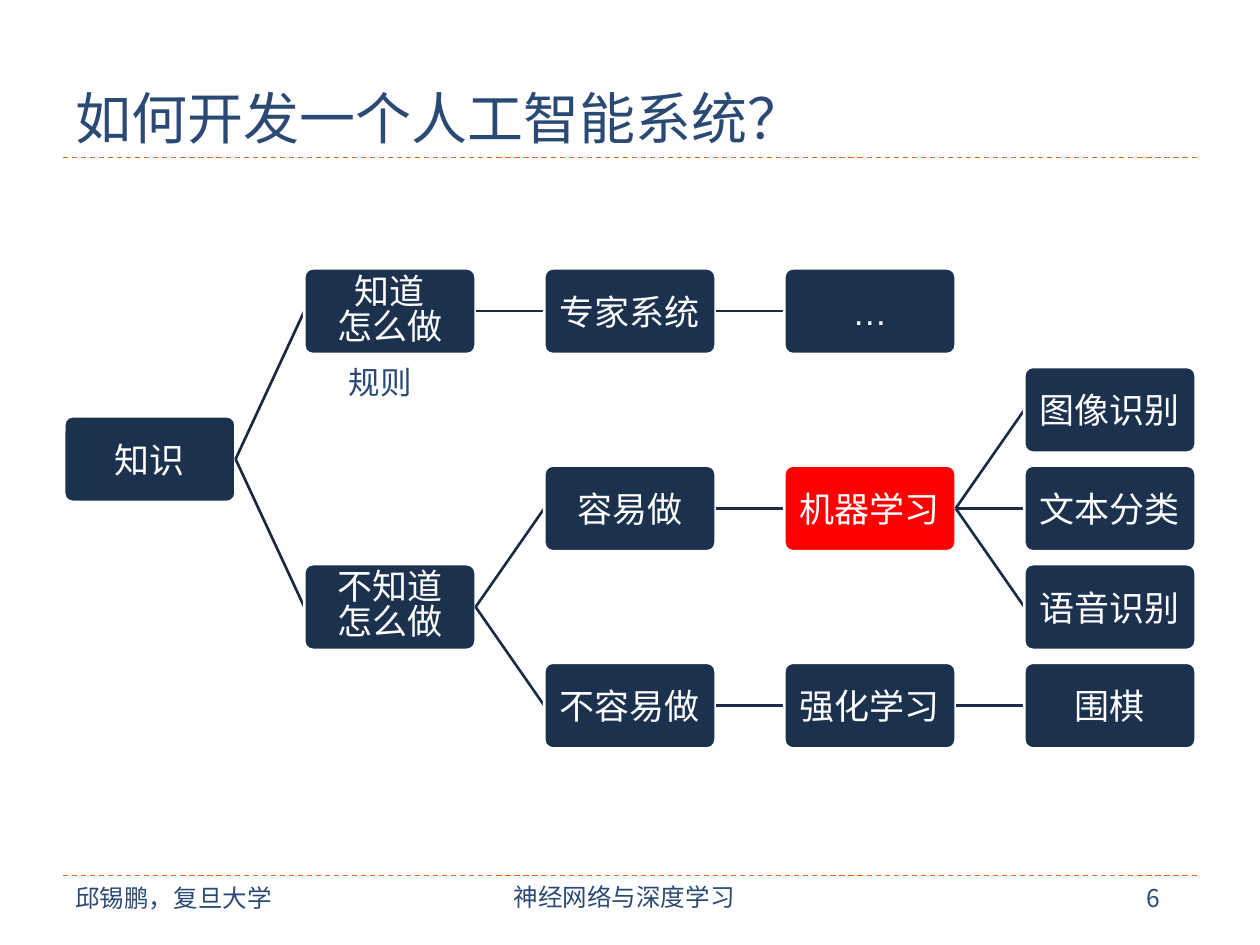
from lxml.etree import SubElement
from pptx import Presentation
from pptx.dml.color import RGBColor as Rgb
from pptx.enum.dml import MSO_LINE as Dash
from pptx.enum.shapes import MSO_CONNECTOR as Link, MSO_SHAPE as Shape
from pptx.enum.text import MSO_ANCHOR as Anchor, MSO_AUTO_SIZE as Fit, PP_ALIGN as Align
from pptx.oxml.ns import qn
from pptx.util import Inches, Pt

NOTO = "Noto Sans CJK SC"
BLUE, NAVY, WHITE, RED = "2A4A75", "1C314E", "FFFFFF", "FF0000"
LEFT, TOP, WIDE, HIGH = 0.51, 2.13, 1.36, 0.68
COL, ROW = (8.13 - LEFT) / 4, (5.26 - TOP) / 4

TREE = ("知识", 1.5, [
    ("知道\n怎么做", 0, [("专家系统", 0, [("…", 0, [])])]),
    ("不知道\n怎么做", 3, [
        ("容易做", 2, [("机器学习", 2, [
            ("图像识别", 1, []), ("文本分类", 2, []), ("语音识别", 3, [])])]),
        ("不容易做", 4, [("强化学习", 4, [("围棋", 4, [])])]),
    ]),
])


def color(code):
    return Rgb.from_string(code)


def write(frame, text, size, tint, font, align=Align.LEFT):
    frame.text = text
    for par in frame.paragraphs:
        par.alignment = align
        for run in par.runs:
            run.font.size = Pt(size)
            run.font.name = font
            run.font.color.rgb = color(tint)
            SubElement(run.font._element, qn("a:ea"), typeface=NOTO)


def add_line(slide, tint, width, ends=(0, 0, 0, 0)):
    line = slide.shapes.add_connector(Link.STRAIGHT, *map(Inches, ends))
    line.line.color.rgb = color(tint)
    line.line.width = Pt(width)
    SubElement(line._element.spPr, qn("a:effectLst"))
    return line


def add_rule(slide, y):
    add_line(slide, "EB641B", 0.75, (0.5, y, 9.5, y)).line.dash_style = Dash.DASH


def add_label(slide, place, text, size, font=NOTO, align=Align.LEFT, wrap=False):
    frame = slide.shapes.add_textbox(*map(Inches, place)).text_frame
    frame.word_wrap = wrap
    write(frame, text, size, BLUE, font, align)
    return frame


def add_title(slide, text):
    title = slide.shapes.title
    title.left, title.top, title.width, title.height = map(Inches, (0.5, 0.17, 9, 1.08))
    frame = title.text_frame
    frame.vertical_anchor = Anchor.BOTTOM
    frame.auto_size = Fit.NONE
    write(frame, text, 32, BLUE, NOTO)


def add_box(slide, text, col, row):
    place = LEFT + col * COL, TOP + row * ROW, WIDE, HIGH
    box = slide.shapes.add_shape(Shape.ROUNDED_RECTANGLE, *map(Inches, place))
    box.adjustments[0] = 0.1
    box.shadow.inherit = False
    box.fill.solid()
    box.fill.fore_color.rgb = color(RED if text == "机器学习" else NAVY)
    box.line.color.rgb = color(WHITE)
    box.line.width = Pt(1.5)
    frame = box.text_frame
    frame.margin_left = frame.margin_right = Inches(0.03)
    frame.margin_top = frame.margin_bottom = Inches(0.03)
    frame.vertical_anchor = Anchor.MIDDLE
    write(frame, text, 20, WHITE, "Arial", Align.CENTER)
    if len(frame.paragraphs) > 1:
        for par in frame.paragraphs:
            par.line_spacing = 0.83
    return box


def add_tree(slide, node, col=0):
    text, row, kids = node
    box = add_box(slide, text, col, row)
    for kid in kids:
        line = add_line(slide, "192C47" if col else "16273E", 1.5)
        line.begin_connect(box, 3)
        line.end_connect(add_tree(slide, kid, col + 1), 1)
    return box


def main():
    deck = Presentation()
    deck.slide_width, deck.slide_height = Inches(10), Inches(7.5)
    slide = deck.slides.add_slide(deck.slide_layouts[5])
    for y in (1.25, 6.95):
        add_rule(slide, y)
    foot = add_label(slide, (3.33, 6.96, 3.25, 0.4), "神经网络与深度学习", 14,
                     "Cambria", Align.CENTER, True)
    foot.margin_top = foot.margin_bottom = Inches(0.04)
    add_label(slide, (0.5, 6.96, 1.77, 0.34), "邱锡鹏，复旦大学", 14)
    add_label(slide, (9, 6.96, 0.41, 0.34), "6", 14)
    add_title(slide, "如何开发一个人工智能系统？")
    add_tree(slide, TREE)
    add_label(slide, (2.67, 2.83, 0.71, 0.4), "规则", 18, "Arial")
    deck.save("out.pptx")


if __name__ == "__main__":
    main()
